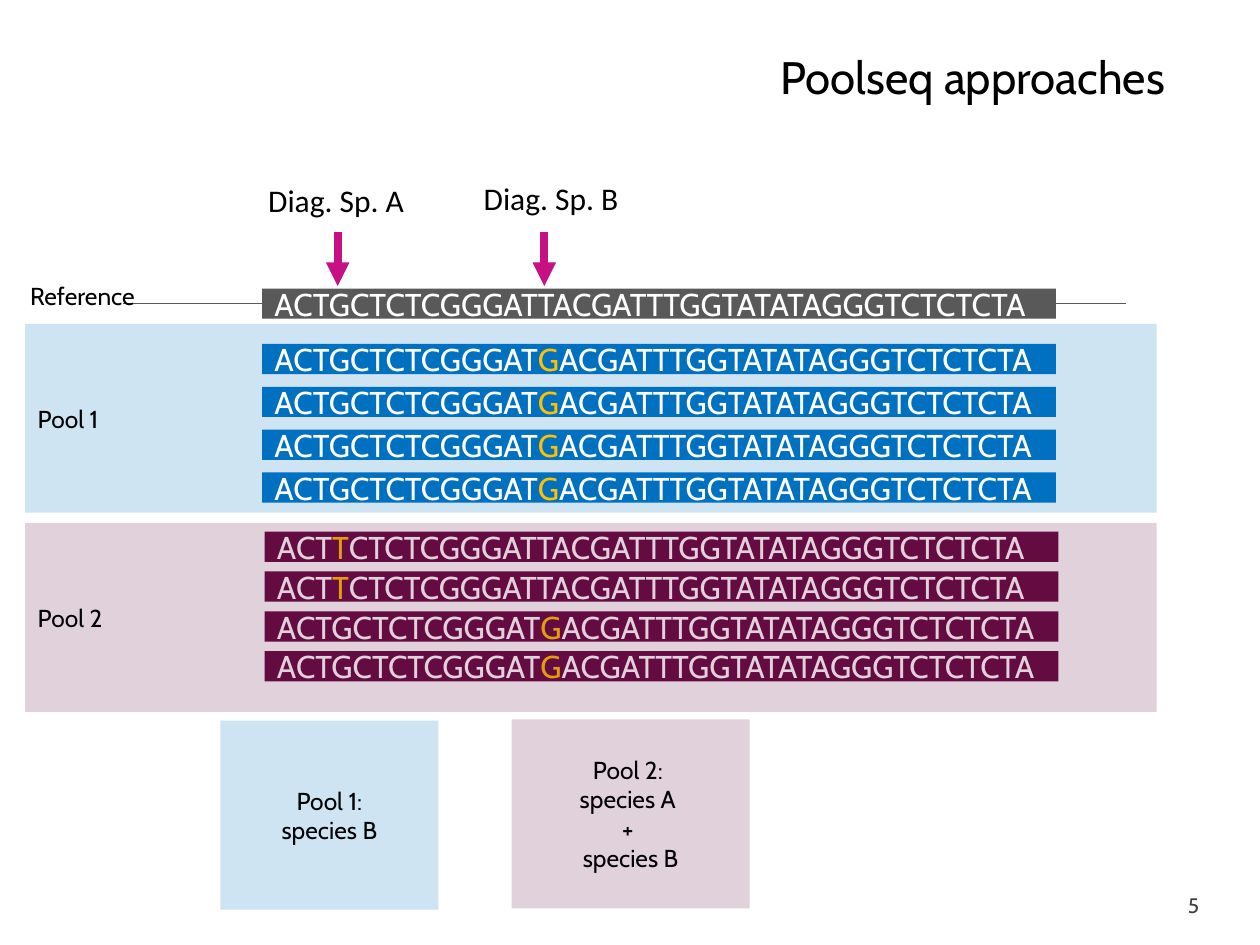
from dataclasses import dataclass
from lxml.etree import SubElement as Sub
from pptx import Presentation
from pptx.dml.color import RGBColor as Rgb
from pptx.enum.shapes import MSO_CONNECTOR as Link, MSO_SHAPE as Form
from pptx.enum.text import MSO_ANCHOR as Anchor, MSO_AUTO_SIZE as Fit, PP_ALIGN as Align
from pptx.oxml.ns import qn
from pptx.util import Inches, Pt


@dataclass(frozen=True)
class Theme:
    ink: str = "000000"
    page: str = "FFFFFF"
    blue: str = "0070C0"
    plum: str = "640B42"
    gray: str = "595959"
    pink: str = "C71083"
    gold: str = "FFC000"
    num: str = "404040"
    font: str = "Cabin"
    alt: str = "Calibri"
    head: int = 26
    base: int = 18
    note: int = 14
    tiny: int = 12
    tint: int = 19


class Deck:
    cols, rows = 100, 75

    def __init__(self, theme):
        self.theme = theme
        self.prs = Presentation()
        self.prs.slide_width, self.prs.slide_height = Inches(10), Inches(7.5)
        self.slide = self.prs.slides.add_slide(self.prs.slide_layouts[5])

    def x(self, col):
        return round(self.prs.slide_width * col / self.cols)

    def y(self, row):
        return round(self.prs.slide_height * row / self.rows)

    def area(self, col, row, wide, high):
        return self.x(col), self.y(row), self.x(wide), self.y(high)

    def style(self, frame, size, color, font=None, align=Align.LEFT):
        for par in frame.paragraphs:
            par.alignment = align
            for run in par.runs:
                run.font.size = Pt(size)
                run.font.name = font or self.theme.font
                run.font.color.rgb = Rgb.from_string(color)

    def title(self, text, *area):
        shape = self.slide.shapes.title
        shape.left, shape.top, shape.width, shape.height = self.area(*area)
        frame = shape.text_frame
        frame.text = text
        frame.word_wrap = True
        frame.auto_size = Fit.NONE
        frame.vertical_anchor = Anchor.TOP
        self.style(frame, self.theme.head, self.theme.ink, align=Align.RIGHT)

    def label(self, text, *area, size, font=None, color=None):
        frame = self.slide.shapes.add_textbox(*self.area(*area)).text_frame
        frame.text = text
        frame.word_wrap = False
        self.style(frame, size, color or self.theme.ink, font)
        return frame

    def box(self, color, *area):
        shape = self.slide.shapes.add_shape(Form.RECTANGLE, *self.area(*area))
        shape.shadow.inherit = False
        shape.fill.solid()
        shape.fill.fore_color.rgb = Rgb.from_string(color)
        shape.line.fill.background()
        shape.text_frame.vertical_anchor = Anchor.MIDDLE
        shape.text_frame.word_wrap = True
        return shape

    def pool(self, text, color, *area, align=Align.LEFT):
        shape = self.box(color, *area)
        tone = shape.fill._xPr.find(".//" + qn("a:srgbClr"))
        Sub(tone, qn("a:alpha"), val=str(self.theme.tint * 1000))
        shape.text_frame.text = text
        self.style(shape.text_frame, self.theme.note, self.theme.ink, align=align)

    def read(self, seq, color, col, row, spot=None, base=""):
        frame = self.box(color, col, row, 63, 2.4).text_frame
        par = frame.paragraphs[0]
        parts = [seq] if spot is None else [seq[:spot], base, seq[spot + 1:]]
        for part in parts:
            par.add_run().text = part
        self.style(frame, self.theme.base, self.theme.page)
        if spot is not None:
            par.runs[1].font.color.rgb = Rgb.from_string(self.theme.gold)

    def line(self, start, end, color, width, arrow=False):
        link = self.slide.shapes.add_connector(
            Link.STRAIGHT, self.x(start[0]), self.y(start[1]), self.x(end[0]), self.y(end[1]))
        link.line.color.rgb = Rgb.from_string(color)
        link.line.width = Pt(width)
        if arrow:
            Sub(link.line._get_or_add_ln(), qn("a:tailEnd"), type="triangle")
        Sub(link._element.spPr, qn("a:effectLst"))


def main():
    look = Theme()
    deck = Deck(look)
    seq = "ACTGCTCTCGGGATTACGATTTGGTATATAGGGTCTCTCTA"
    site_a, site_b = (3, "T"), (14, "G")

    deck.title("Poolseq approaches", 3.5, 3.4, 90, 9.7)
    deck.pool("Pool 1", look.blue, 2, 25.7, 89.8, 15)
    deck.line((9.8, 24.1), (89.4, 24.1), look.gray, 0.75)
    deck.read(seq, look.gray, 20.8, 22.9)
    for i in range(4):
        deck.read(seq, look.blue, 20.8, 27.3 + 3.4 * i, *site_b)
    for i, site in enumerate([site_a, site_a, site_b, site_b]):
        deck.read(seq, look.plum, 21, 42.2 + 3.16 * i, *site)
    deck.pool("Pool 2", look.plum, 2, 41.5, 89.8, 15)

    deck.label("Reference", 1.4, 21.8, 10.5, 3.4, size=look.note)
    for name, col, row, tip in [("A", 20.3, 13.9, 26.8), ("B", 37.4, 13.7, 43.2)]:
        deck.line((tip, 18.45), (tip, 22.7), look.pink, 4.5, arrow=True)
        deck.label(f"Diag. Sp. {name}", col, row, 12.9, 4, size=look.base, font=look.alt)

    deck.pool("Pool 1:\nspecies B", look.blue, 17.5, 57.2, 17.3, 15, align=Align.CENTER)
    deck.pool("Pool 2: \nspecies A \n+ \nspecies B", look.plum, 40.6, 57.1, 18.9, 15,
              align=Align.CENTER)
    page = deck.label("5", 93.3, 70.3, 6.4, 3, size=look.tiny, color=look.num)
    page.vertical_anchor = Anchor.MIDDLE
    page.word_wrap = True
    deck.prs.save("out.pptx")


if __name__ == "__main__":
    main()
